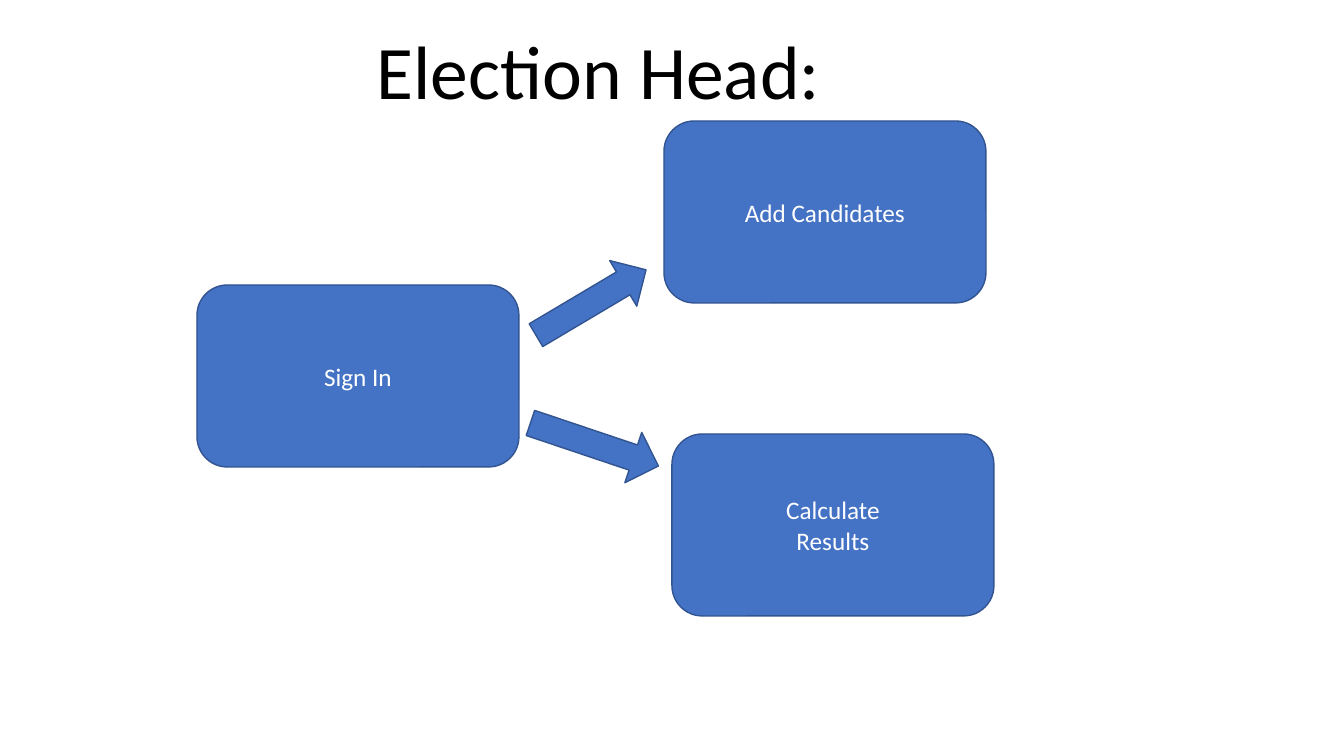
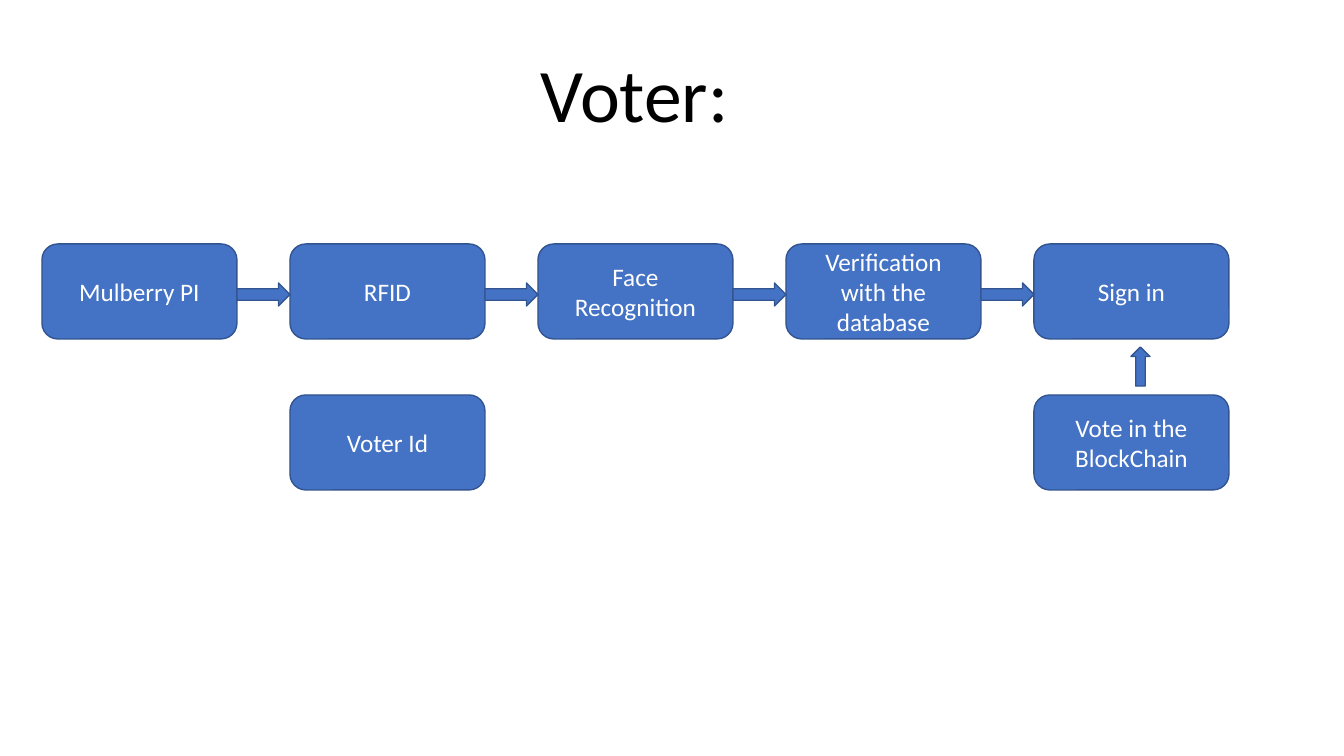
from dataclasses import dataclass

from pptx import Presentation
from pptx.dml.color import RGBColor
from pptx.enum.shapes import MSO_SHAPE as SHAPE
from pptx.enum.text import MSO_ANCHOR as ANCHOR, MSO_AUTO_SIZE as AUTO_SIZE, PP_ALIGN as ALIGN
from pptx.util import Pt

PIXEL = 914400 / 100.8


@dataclass(frozen=True)
class Theme:
    font: str = "Calibri"
    fill: RGBColor = RGBColor(0x44, 0x72, 0xC4)
    outline: RGBColor = RGBColor(0x32, 0x54, 0x91)
    box_text: RGBColor = RGBColor(0xFF, 0xFF, 0xFF)
    title_text: RGBColor = RGBColor(0x00, 0x00, 0x00)
    title_size: int = 54
    box_size: int = 18
    line_width: int = 1


theme = Theme()


def write(frame, text, size, color, anchor):
    """Put centred text, one paragraph a line, into a text frame."""
    frame.text = text
    frame.vertical_anchor = anchor
    for para in frame.paragraphs:
        para.alignment = ALIGN.CENTER
        para.line_spacing = 1.0
        for span in para.runs:
            span.font.name = theme.font
            span.font.size = Pt(size)
            span.font.color.rgb = color


def add_block(page, kind, place, text="", rotation=0):
    """Add a themed box or block arrow at a pixel place."""
    block = page.shapes.add_shape(kind, *(round(n * PIXEL) for n in place))
    block.shadow.inherit = False
    block.fill.solid()
    block.fill.fore_color.rgb = theme.fill
    block.line.color.rgb = theme.outline
    block.line.width = Pt(theme.line_width)
    block.rotation = rotation
    if text:
        write(block.text_frame, text, theme.box_size, theme.box_text, ANCHOR.MIDDLE)


deck = Presentation()
deck.slide_width = round(1344 * PIXEL)
deck.slide_height = round(756 * PIXEL)

# Pages with their titles
pages = []
for text, place in [
    ("Election Head:", (364, 19, 469, 102)),
    ("Voter:", (529, 42, 211, 102)),
]:
    page = deck.slides.add_slide(deck.slide_layouts.get_by_name("Title Only"))
    title = page.shapes.title
    title.left, title.top, title.width, title.height = (round(n * PIXEL) for n in place)
    write(title.text_frame, text, theme.title_size, theme.title_text, ANCHOR.TOP)
    title.text_frame.word_wrap = False
    title.text_frame.auto_size = AUTO_SIZE.SHAPE_TO_FIT_TEXT
    pages.append(page)
head_page, voter_page = pages

# Election head: one step that branches into two
for text, left, top in [
    ("Sign In", 197, 285),
    ("Add Candidates", 664, 121),
    ("Calculate\nResults", 672, 434),
]:
    add_block(head_page, SHAPE.ROUNDED_RECTANGLE, (left, top, 322, 182), text)
for place, rotation in [((527, 276, 128, 53), 329.3), ((527, 418, 135, 53), 18.6)]:
    add_block(head_page, SHAPE.RIGHT_ARROW, place, rotation=rotation)

# Voter: a row of steps, with two more boxes below
LEFT, PITCH, BOX_WIDTH, BOX_HEIGHT = 42, 248, 195, 95
UPPER, LOWER = 244, 395
steps = [
    ("Mulberry PI", 0, UPPER),
    ("RFID", 1, UPPER),
    ("Face\nRecognition", 2, UPPER),
    ("Verification with the database", 3, UPPER),
    ("Sign in", 4, UPPER),
    ("Voter Id", 1, LOWER),
    ("Vote in the\nBlockChain", 4, LOWER),
]
for text, column, top in steps:
    place = (LEFT + column * PITCH, top, BOX_WIDTH, BOX_HEIGHT)
    add_block(voter_page, SHAPE.ROUNDED_RECTANGLE, place, text)
for column in range(4):
    place = (LEFT + column * PITCH + BOX_WIDTH, 283, PITCH - BOX_WIDTH, 23)
    add_block(voter_page, SHAPE.RIGHT_ARROW, place)
add_block(voter_page, SHAPE.UP_ARROW, (1131, 347, 19, 39))

deck.save("out.pptx")
